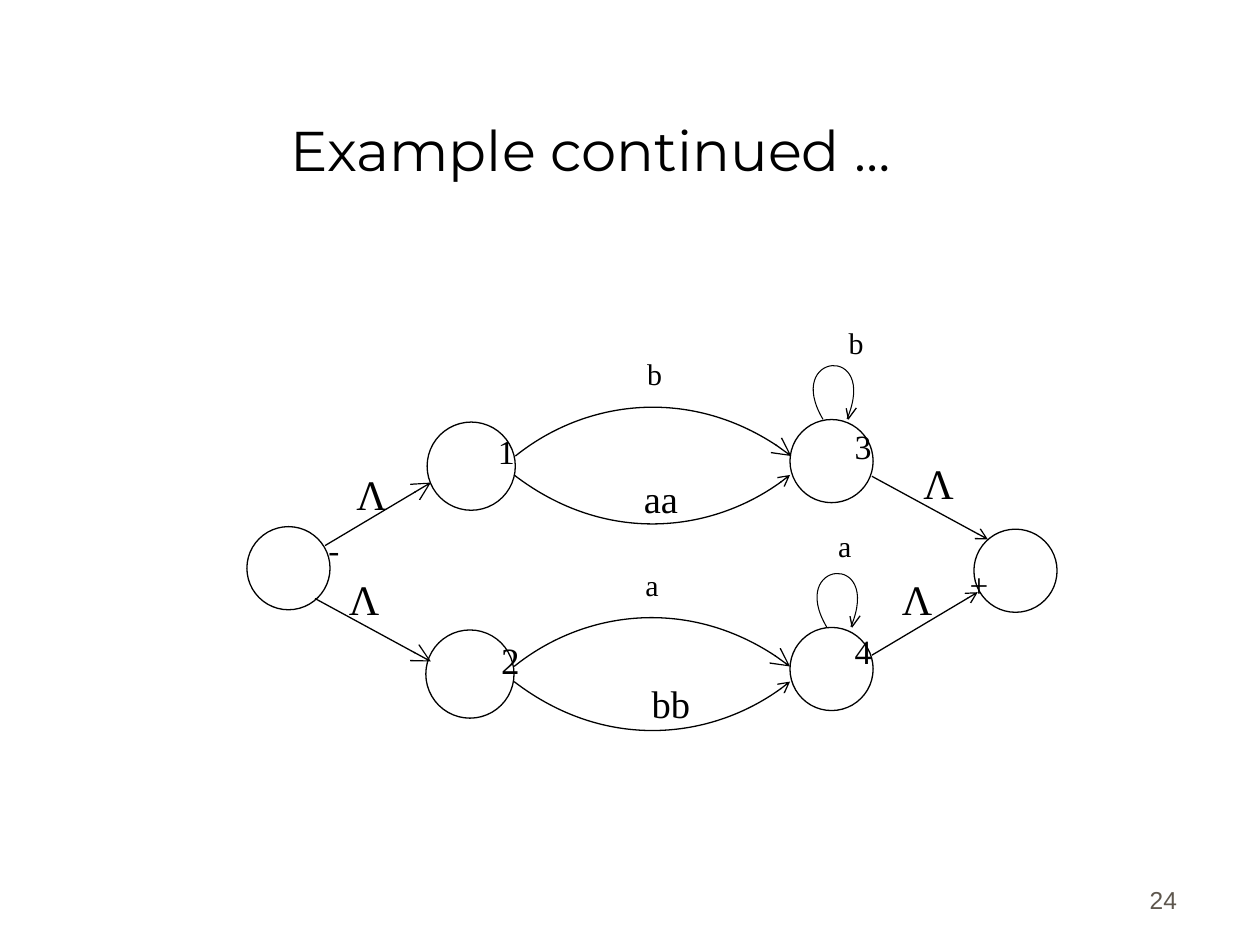
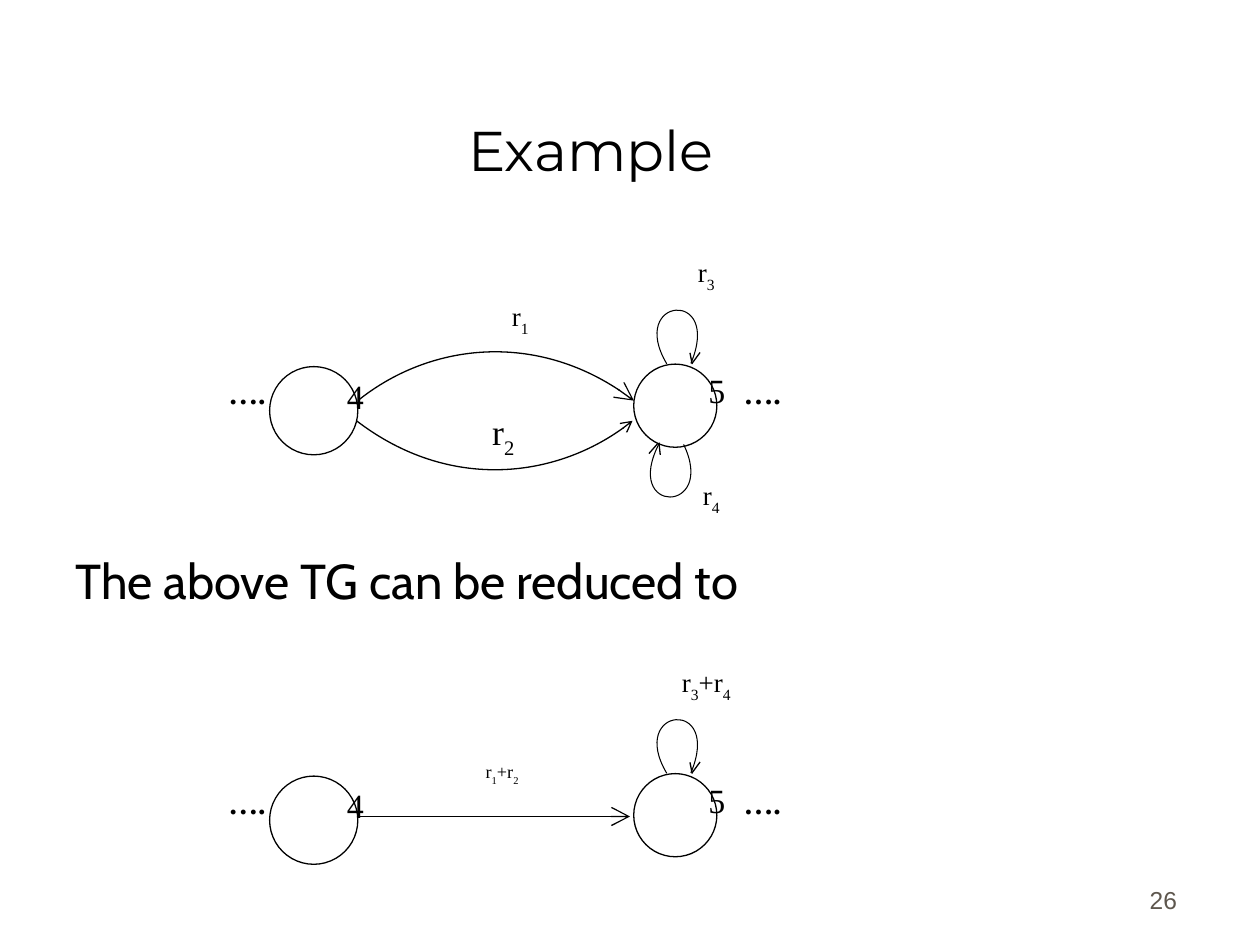
from lxml import etree
from pptx import Presentation
from pptx.dml.color import RGBColor
from pptx.enum.shapes import MSO_CONNECTOR, MSO_SHAPE
from pptx.enum.text import MSO_ANCHOR, PP_ALIGN
from pptx.oxml.ns import qn
from pptx.util import Inches, Pt

BLACK = RGBColor(0x00, 0x00, 0x00)
WHITE = RGBColor(0xFF, 0xFF, 0xFF)
GREY = RGBColor(0x5E, 0x57, 0x4E)
SERIF = "Times New Roman"
OVAL, STRAIGHT = MSO_SHAPE.OVAL, MSO_CONNECTOR.STRAIGHT
LEFT, CENTER, RIGHT = PP_ALIGN.LEFT, PP_ALIGN.CENTER, PP_ALIGN.RIGHT
TOP, BOTTOM = MSO_ANCHOR.TOP, MSO_ANCHOR.BOTTOM

# Bezier points relative to the start of the curve
UPPER_ARC = [(0, 0), (0.56, -0.45), (1.47, -0.56), (2.19, 0)]
LOWER_ARC = [(0, 0), (0.73, 0.56), (1.64, 0.45), (2.19, 0)]
LOOP = [(0, 0), (-0.36, -0.5), (0.39, -0.64), (0.19, -0.02)]
# The two strokes of a loop's arrowhead
LONG_STROKE = [(0, 0), (0.07, -0.08)]
STEEP_STROKE = [(0, 0), (0.01, 0.09)]


def add_text(s, x, y, w, h, text, size, spacing=None, font=SERIF, color=BLACK,
             align=CENTER, anchor=TOP, bold=False):
    """Add a text box; a character after "_" is set as a subscript."""
    sp = s.shapes.add_textbox(Inches(x), Inches(y), Inches(w), Inches(h))
    tf = sp.text_frame
    tf.word_wrap = True
    tf.vertical_anchor = anchor
    p = tf.paragraphs[0]
    p.alignment = align
    p.line_spacing = spacing
    p.font.name, p.font.size, p.font.bold = font, Pt(size), bold
    p.font.color.rgb = color
    head, *rest = text.split("_")
    p.add_run().text = head
    for part in rest:
        r = p.add_run()
        r.text = part[0]
        r.font._element.set("baseline", "-30000")
        if part[1:]:
            p.add_run().text = part[1:]
    return sp


def style_line(sp, width, arrow=None):
    """Draw a black line, with an open arrowhead of the given size if any."""
    sp.line.color.rgb = BLACK
    sp.line.width = Pt(width)
    if arrow:
        ln = sp._element.spPr.find(qn("a:ln"))
        etree.SubElement(ln, qn("a:tailEnd"), type="arrow", w=arrow, len=arrow)


prs = Presentation()
prs.slide_width, prs.slide_height = Inches(10), Inches(7.5)

# Slides with title and number
slides = []
for title, number in [("Example continued …", "24"), ("Example", "26")]:
    s = prs.slides.add_slide(prs.slide_layouts[6])
    add_text(s, 7.36, 6.81, 2.08, 0.5, number, 14, font="Arial", color=GREY,
             align=RIGHT, anchor=BOTTOM)
    add_text(s, 0.44, 0.25, 8.5, 1.25, title, 32, font="Montserrat", anchor=BOTTOM)
    slides.append(s)
graph, reduction = slides
ROWS = (0, 3.25)  # graph before and after the reduction

# States: slide, left, top, diameter
states = [
    (graph, 1.96, 4.18, 0.66),
    (graph, 3.39, 3.35, 0.7),
    (graph, 3.38, 5, 0.7),
    (graph, 6.27, 3.33, 0.66),
    (graph, 6.27, 4.98, 0.66),
    (graph, 7.73, 4.2, 0.66),
]
for dy in ROWS:
    states += [(reduction, 2.14, 2.91 + dy, 0.7), (reduction, 5.03, 2.89 + dy, 0.66)]
for s, x, y, d in states:
    sp = s.shapes.add_shape(OVAL, Inches(x), Inches(y), Inches(d), Inches(d))
    sp.shadow.inherit = False
    sp.fill.solid()
    sp.fill.fore_color.rgb = WHITE
    style_line(sp, 0.75)

# Curved transitions: slide, start, points, line width, arrow size, rotation
curves = [
    (graph, 4.09, 3.62, UPPER_ARC, 0.75, "lg", 0),
    (graph, 4.08, 3.77, LOWER_ARC, 0.75, "med", 0),
    (graph, 4.08, 5.29, UPPER_ARC, 0.75, "lg", 0),
    (graph, 4.08, 5.41, LOWER_ARC, 0.75, "med", 0),
    (reduction, 2.84, 3.18, UPPER_ARC, 0.75, "lg", 0),
    (reduction, 2.83, 3.34, LOWER_ARC, 0.75, "med", 0),
    (reduction, 5.34, 4.16, LOOP, 0.6, None, 190),
    (reduction, 5.15, 3.6, LONG_STROKE, 0.75, None, 180),
    (reduction, 5.23, 3.52, STEEP_STROKE, 0.75, None, 180),
]
top_loops = [(graph, 6.56, 3.33), (graph, 6.59, 4.98)]
top_loops += [(reduction, 5.32, 2.89 + dy) for dy in ROWS]
for s, x, y in top_loops:
    curves += [
        (s, x, y, LOOP, 0.6, None, 5),
        (s, x + 0.17, y - 0.01, LONG_STROKE, 0.75, None, 355),
        (s, x + 0.16, y - 0.09, STEEP_STROKE, 0.75, None, 355),
    ]
for s, x, y, points, width, arrow, rotation in curves:
    points = [(Inches(x + px), Inches(y + py)) for px, py in points]
    builder = s.shapes.build_freeform(*points[0])
    builder.add_line_segments(points[1:], close=False)
    sp = builder.convert_to_shape()
    sp.rotation = rotation
    sp.shadow.inherit = False
    sp.fill.background()
    style_line(sp, width, arrow)
    if len(points) == 4:
        # Turn the three line segments into one Bezier segment
        outline = sp._element.spPr.find(".//" + qn("a:path"))
        bezier = etree.SubElement(outline, qn("a:cubicBezTo"))
        for segment in outline.findall(qn("a:lnTo")):
            bezier.append(segment[0])
            outline.remove(segment)

# Straight transitions: slide, start, end, arrow size
for s, x1, y1, x2, y2, arrow in [
    (graph, 2.58, 4.33, 3.42, 3.83, "lg"),
    (graph, 2.5, 4.75, 3.42, 5.25, "lg"),
    (graph, 6.92, 5.2, 7.76, 4.7, "med"),
    (graph, 6.92, 3.78, 7.84, 4.28, "med"),
    (reduction, 2.83, 6.48, 5, 6.48, "lg"),
]:
    line = s.shapes.add_connector(STRAIGHT, Inches(x1), Inches(y1), Inches(x2), Inches(y2))
    style_line(line, 0.75, arrow)
    etree.SubElement(line._element.spPr, qn("a:effectLst"))

# State names on the first slide
for x, y, name, size, spacing in [
    (3.51, 3.43, "1", 19.4, 0.8),
    (3.54, 5.05, "2", 21.2, 0.9),
    (6.34, 3.39, "3", 19.4, 0.8),
    (6.34, 5.02, "4", 19.4, 0.8),
    (2.14, 4.21, "-", 18.9, 0.8),
]:
    add_text(graph, x, y, 1.02, 0.42, name, size, spacing)
final = add_text(graph, 7.26, 4.4, 1.02, 0.42, "+", 18.9, 0.8)
final.rotation = 180

# Transition labels on the first slide
for x, y in [(2.73, 3.67), (2.67, 4.5), (7.23, 3.58), (7.06, 4.5)]:
    add_text(graph, x, y, 0.44, 0.5, "Λ", 24)
for x, y, label in [(4.99, 2.83, "b"), (6.59, 2.58, "b"), (4.97, 4.5, "a"), (6.5, 4.19, "a")]:
    add_text(graph, x, y, 0.41, 0.4, label, 17.1, 0.8)
add_text(graph, 5, 3.72, 0.49, 0.5, "aa", 22)
add_text(graph, 4.99, 5.35, 0.67, 0.5, "bb", 22)

# State names and dots on the second slide
for dy in ROWS:
    add_text(reduction, 2.31, 2.99 + dy, 1.02, 0.42, "4", 19.4, 0.8)
    add_text(reduction, 5.18, 2.95 + dy, 1.02, 0.42, "5", 19.4, 0.8)
    for x in (1.58, 5.67):
        add_text(reduction, x, 2.98 + dy, 0.76, 0.42, "….", 17.1, 0.8, bold=True)

# Transition labels and sentence on the second slide
for x, y, w, h, label, size, spacing in [
    (3.75, 2.35, 0.76, 0.42, "r_1", 15.4, 0.8),
    (3.75, 3.2, 0.49, 0.5, "r_2", 20.4, 0.9),
    (5.15, 2, 0.91, 0.42, "r_3", 15.4, 0.8),
    (5.19, 3.77, 0.91, 0.42, "r_4", 15.4, 0.8),
    (3.4, 6, 1.17, 0.33, "r_1+r_2", 10.4, 0.8),
    (5.15, 5.25, 0.91, 0.42, "r_3+r_4", 15.4, 0.8),
]:
    add_text(reduction, x, y, w, h, label, size, spacing)
add_text(reduction, 0.5, 4.32, 8.94, 0.57, "The above TG can be reduced to", 28,
         font="Cabin", align=LEFT)

prs.save("out.pptx")
